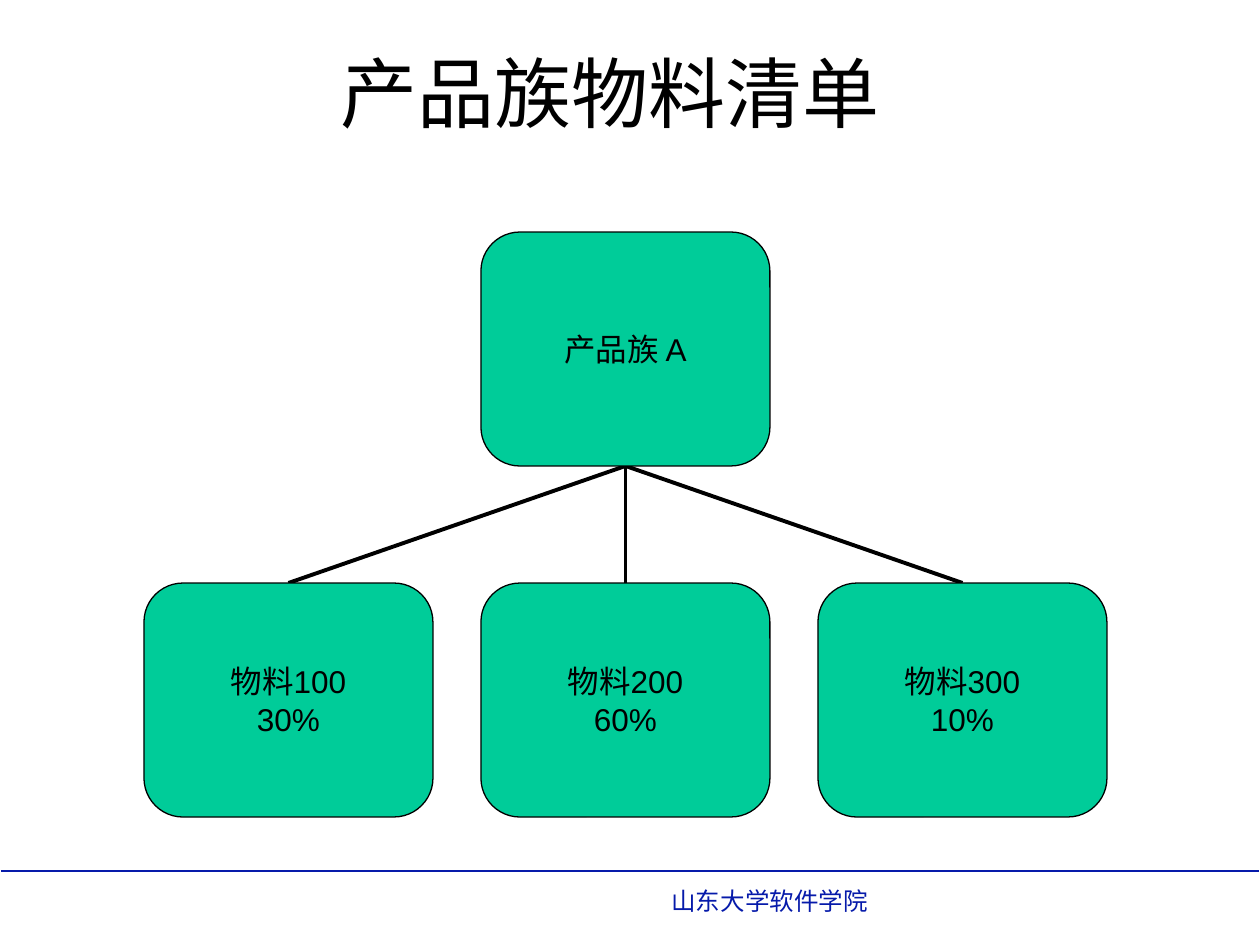
from dataclasses import dataclass

from lxml.etree import SubElement
from pptx import Presentation
from pptx.dml.color import RGBColor
from pptx.enum.shapes import MSO_CONNECTOR, MSO_SHAPE
from pptx.enum.text import MSO_ANCHOR, MSO_AUTO_SIZE, PP_ALIGN
from pptx.oxml.ns import qn
from pptx.util import Pt

EMU_PER_PX = 914400 / 126


@dataclass(frozen=True)
class Theme:
    font: str = "Arial"
    ink: RGBColor = RGBColor(0x00, 0x00, 0x00)
    node_fill: RGBColor = RGBColor(0x00, 0xCC, 0x99)
    footer: RGBColor = RGBColor(0x06, 0x1A, 0xAA)
    title_size: int = 44
    node_size: int = 18
    footer_size: int = 14
    branch_width: float = 2.25
    outline_width: float = 0.75
    rule_width: float = 1


THEME = Theme()


def px(*lengths):
    return [round(length * EMU_PER_PX) for length in lengths]


def format_text(frame, size, color, align):
    for paragraph in frame.paragraphs:
        paragraph.alignment = align
        for run in paragraph.runs:
            run.font.name = THEME.font
            run.font.size = Pt(size)
            run.font.color.rgb = color


def add_line(shapes, start, end, color, width):
    line = shapes.add_connector(MSO_CONNECTOR.STRAIGHT, *px(*start, *end))
    line.line.color.rgb = color
    line.line.width = Pt(width)
    SubElement(line._element.spPr, qn("a:effectLst"))


def add_title(slide, text, left, top, width, height):
    title = slide.shapes.title
    title.left, title.top, title.width, title.height = px(left, top, width, height)
    frame = title.text_frame
    frame.text = text
    frame.auto_size = MSO_AUTO_SIZE.NONE
    frame.vertical_anchor = MSO_ANCHOR.TOP
    format_text(frame, THEME.title_size, THEME.ink, PP_ALIGN.CENTER)


def add_node(shapes, text, left, top, width, height):
    node = shapes.add_shape(MSO_SHAPE.ROUNDED_RECTANGLE, *px(left, top, width, height))
    node.shadow.inherit = False
    node.fill.solid()
    node.fill.fore_color.rgb = THEME.node_fill
    node.line.color.rgb = THEME.ink
    node.line.width = Pt(THEME.outline_width)
    frame = node.text_frame
    frame.margin_left = frame.margin_right = frame.margin_top = frame.margin_bottom = 0
    frame.word_wrap = False
    frame.vertical_anchor = MSO_ANCHOR.MIDDLE
    frame.text = text
    format_text(frame, THEME.node_size, THEME.ink, PP_ALIGN.CENTER)


def add_bill_of_materials(slide, family, materials, left, top, width, height):
    """Draw the family centred above an evenly spaced row of its materials."""
    gap = 48
    node_width = (width - gap * (len(materials) - 1)) / len(materials)
    node_height = height * 2 / 5
    center = left + width / 2
    row_top = top + height - node_height
    lefts = [left + i * (node_width + gap) for i in range(len(materials))]

    tree = slide.shapes.add_group_shape().shapes
    for node_left in lefts:
        add_line(tree, (node_left + node_width / 2, row_top), (center, top + node_height),
                 THEME.ink, THEME.branch_width)
    add_node(tree, family, center - node_width / 2, top, node_width, node_height)
    for node_left, (material, share) in zip(lefts, materials):
        add_node(tree, f"{material}\n{share}", node_left, row_top, node_width, node_height)


def add_footer(slide, school, left, top, width, height):
    """Draw a rule across the box and the school name below it."""
    add_line(slide.shapes, (left, top), (left + width, top), THEME.footer, THEME.rule_width)
    name = slide.shapes.add_textbox(*px(left + 658, top + 9, 545, height - 9))
    name.text_frame.word_wrap = True
    name.text_frame.text = school
    format_text(name.text_frame, THEME.footer_size, THEME.footer, PP_ALIGN.LEFT)


def main():
    presentation = Presentation()
    presentation.slide_width, presentation.slide_height = px(1260, 945)
    slide = presentation.slides.add_slide(presentation.slide_layouts[5])
    add_footer(slide, "山东大学软件学院", 1, 871, 1258, 52)
    add_bill_of_materials(
        slide, "产品族 A",
        [("物料100", "30%"), ("物料200", "60%"), ("物料300", "10%")],
        144, 232, 963, 585)
    add_title(slide, "产品族物料清单", 266, 39, 689, 106)
    presentation.save("out.pptx")


if __name__ == "__main__":
    main()
